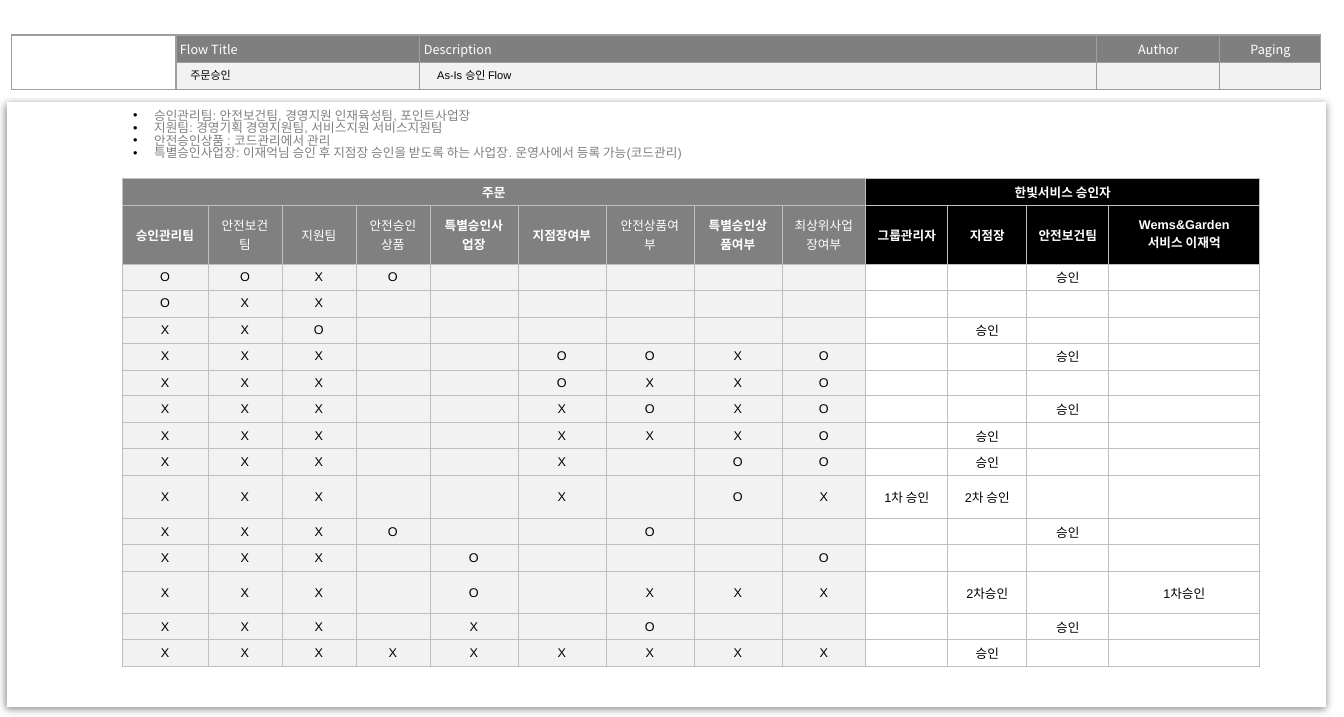
from dataclasses import dataclass

import pptx
import pptx.dml.color
import pptx.enum.shapes
import pptx.enum.text
import pptx.oxml
import pptx.oxml.ns
import pptx.util

PX = 8035  # EMU in one px
ANCHOR = pptx.enum.text.MSO_ANCHOR
ALIGN = pptx.enum.text.PP_ALIGN
NS = pptx.oxml.ns.nsdecls("a")


@dataclass(frozen=True)
class Theme:
    white: str = "FFFFFF"
    black: str = "000000"
    pale: str = "F2F2F2"
    bar: str = "7F7F7F"
    gray: str = "808080"
    edge: str = "9E9E9E"
    rule: str = "BFBFBF"
    latin: str = "Arial"
    asian: str = "Noto Sans CJK KR"
    small: int = 7
    size: int = 8


THEME = Theme()


@dataclass(frozen=True)
class Box:
    left: int
    top: int
    width: int
    height: int

    def emu(self) -> list[int]:
        return [n * PX for n in (self.left, self.top, self.width, self.height)]


@dataclass(frozen=True)
class Cell:
    text: str = ""
    fill: str = ""
    color: str = THEME.black
    bold: bool = False
    align: ALIGN = ALIGN.CENTER


@dataclass(frozen=True)
class Grid:
    left: int
    top: int
    cols: list[int]
    rows: list[int]
    cells: list[list[Cell]]
    spans: list[tuple[int, int, int, int]]  # first row, first column, last row, last column
    font: str
    side: int
    pad: int
    edge: str
    weight: float


@dataclass(frozen=True)
class Case:
    marks: str  # one sign for each order column, a dot for none
    steps: dict[int, str]  # approver column and step


def style(para, size: int, color: str, font: str = THEME.latin, bold: bool = False) -> None:
    for run in para.runs:
        run.font.size = pptx.util.Pt(size)
        run.font.name = font
        run.font.bold = bold
        run.font.color.rgb = pptx.dml.color.RGBColor.from_string(color)
        latin = run._r.get_or_add_rPr().find(pptx.oxml.ns.qn("a:latin"))
        latin.addnext(pptx.oxml.parse_xml(f'<a:ea {NS} typeface="{THEME.asian}"/>'))


def draw_grid(slide, grid: Grid) -> None:
    box = Box(grid.left, grid.top, sum(grid.cols), sum(grid.rows))
    table = slide.shapes.add_table(len(grid.rows), len(grid.cols), *box.emu()).table
    table.first_row = table.horz_banding = False
    for col, width in zip(table.columns, grid.cols):
        col.width = width * PX
    for row, height in zip(table.rows, grid.rows):
        row.height = height * PX
    for r, line in enumerate(grid.cells):
        for c, item in enumerate(line):
            draw_cell(table.cell(r, c), item, grid)
    for top, left, bottom, right in grid.spans:
        table.cell(top, left).merge(table.cell(bottom, right))


def draw_cell(cell, item: Cell, grid: Grid) -> None:
    cell.margin_left = cell.margin_right = grid.side * PX
    cell.margin_top = cell.margin_bottom = grid.pad * PX
    cell.vertical_anchor = ANCHOR.MIDDLE
    props = cell._tc.get_or_add_tcPr()
    for side in "LRTB":
        props.append(pptx.oxml.parse_xml(
            f'<a:ln{side} {NS} w="{int(grid.weight * 12700)}"><a:solidFill>'
            f'<a:srgbClr val="{grid.edge}"/></a:solidFill></a:ln{side}>'))
    if item.fill:
        cell.fill.solid()
        cell.fill.fore_color.rgb = pptx.dml.color.RGBColor.from_string(item.fill)
    else:
        cell.fill.background()
    cell.text_frame.text = item.text
    para = cell.text_frame.paragraphs[0]
    para.alignment = item.align
    style(para, THEME.size, item.color, grid.font, item.bold)
    if not item.text:
        para._p.get_or_add_endParaRPr().set("sz", str(THEME.size * 100))


def draw_card(slide, box: Box) -> None:
    card = slide.shapes.add_shape(
        pptx.enum.shapes.MSO_SHAPE.ROUNDED_RECTANGLE, *box.emu())
    card.adjustments[0] = 0
    card.fill.solid()
    card.fill.fore_color.rgb = pptx.dml.color.RGBColor.from_string(THEME.white)
    card.line.fill.background()
    card._element.spPr.append(pptx.oxml.parse_xml(
        f'<a:effectLst {NS}><a:outerShdw blurRad="57150" dist="19050" dir="5400000" '
        f'algn="ctr" rotWithShape="0"><a:srgbClr val="{THEME.black}">'
        '<a:alpha val="49000"/></a:srgbClr></a:outerShdw></a:effectLst>'))


def write_label(shape, text: str) -> None:
    frame = shape.text_frame
    frame.text = text
    frame.word_wrap = True
    frame.auto_size = pptx.enum.text.MSO_AUTO_SIZE.NONE
    frame.vertical_anchor = ANCHOR.TOP
    frame.paragraphs[0].alignment = ALIGN.LEFT
    style(frame.paragraphs[0], THEME.small, THEME.black)


def draw_notes(slide, box: Box, lines: list[str]) -> None:
    frame = slide.shapes.add_textbox(*box.emu()).text_frame
    frame.word_wrap = True
    frame.text = "\n".join(lines)
    for para in frame.paragraphs:
        props = para._p.get_or_add_pPr()
        props.set("marL", str(21 * PX))
        props.set("indent", str(-21 * PX))
        para.line_spacing = 0.82
        for tag in (f'<a:buClr {NS}><a:srgbClr val="{THEME.black}"/></a:buClr>',
                    f'<a:buFont {NS} typeface="{THEME.latin}"/>',
                    f'<a:buChar {NS} char="•"/>'):
            props.append(pptx.oxml.parse_xml(tag))
        style(para, THEME.size, THEME.gray)


# Header band
HEADS = [Cell()] + [
    Cell(text, THEME.bar, THEME.white, align=align)
    for text, align in (("Flow Title", ALIGN.LEFT), ("Description", ALIGN.LEFT),
                        ("Author", ALIGN.CENTER), ("Paging", ALIGN.CENTER))]
HEADER = Grid(11, 35, [165, 244, 677, 123, 101], [28, 27],
              [HEADS, [Cell()] + [Cell(fill=THEME.pale)] * 4],
              [(0, 0, 1, 0)], THEME.asian, 4, 4, THEME.edge, 0.75)

# Approval rules
ORDER = ["승인관리팀", "안전보건팀", "지원팀", "안전승인상품", "특별승인사업장",
         "지점장여부", "안전상품여부", "특별승인상품여부", "최상위사업장여부"]
LIGHT = {1, 2, 3, 6, 8}
STAFF = ["그룹관리자", "지점장", "안전보건팀", "Wems&Garden 서비스 이재억"]
BRANCH, SAFETY = {1: "승인"}, {2: "승인"}
CASES = [
    Case("OOXO.....", SAFETY),
    Case("OXX......", {}),
    Case("XXO......", BRANCH),
    Case("XXX..OOXO", SAFETY),
    Case("XXX..OXXO", {}),
    Case("XXX..XOXO", SAFETY),
    Case("XXX..XXXO", BRANCH),
    Case("XXX..X.OO", BRANCH),
    Case("XXX..X.OX", {0: "1차 승인", 1: "2차 승인"}),
    Case("XXXO..O..", SAFETY),
    Case("XXX.O...O", {}),
    Case("XXX.O.XXX", {1: "2차승인", 3: "1차승인"}),
    Case("XXX.X.O..", SAFETY),
    Case("XXXXXXXXX", BRANCH),
]
GROUPS = ([Cell("주문", THEME.gray, THEME.white, True)]
          + [Cell(fill=THEME.gray)] * 8
          + [Cell("한빛서비스 승인자", THEME.black, THEME.white, True)]
          + [Cell(fill=THEME.black)] * 3)
NAMES = ([Cell(name, THEME.gray, THEME.white, i not in LIGHT) for i, name in enumerate(ORDER)]
         + [Cell(name, THEME.black, THEME.white, True) for name in STAFF])
BODY = [[Cell(mark.strip("."), THEME.pale) for mark in case.marks]
        + [Cell(case.steps.get(i, "")) for i in range(len(STAFF))] for case in CASES]
RULES = Grid(122, 178, [86] + [74] * 3 + [88] * 4 + [84, 82, 79, 82, 151],
             [27, 59] + [26, 27] * 4 + [43, 26, 27, 42, 26, 27],
             [GROUPS, NAMES] + BODY, [(0, 0, 0, 8), (0, 9, 0, 12)],
             THEME.latin, 11, 3, THEME.rule, 0.5)

NOTES = [
    "승인관리팀: 안전보건팀, 경영지원 인재육성팀, 포인트사업장",
    "지원팀: 경영기획 경영지원팀, 서비스지원 서비스지원팀",
    "안전승인상품 : 코드관리에서 관리",
    "특별승인사업장: 이재억님 승인 후 지점장 승인을 받도록 하는 사업장. 운영사에서 등록 가능(코드관리)",
]


def main() -> None:
    deck = pptx.Presentation()
    deck.slide_width, deck.slide_height = 1344 * PX, 717 * PX
    slide = deck.slides.add_slide(deck.slide_layouts[5])

    draw_grid(slide, HEADER)
    draw_card(slide, Box(7, 102, 1319, 605))

    # Title and description, in front of the header band
    title = slide.shapes.title
    title.left, title.top, title.width, title.height = Box(179, 63, 234, 25).emu()
    write_label(title, "주문승인")
    slide.shapes._spTree.append(title._element)
    write_label(slide.shapes.add_textbox(*Box(426, 63, 666, 25).emu()), "As-Is 승인 Flow")

    draw_grid(slide, RULES)
    draw_notes(slide, Box(122, 105, 790, 73), NOTES)
    deck.save("out.pptx")


if __name__ == "__main__":
    main()
